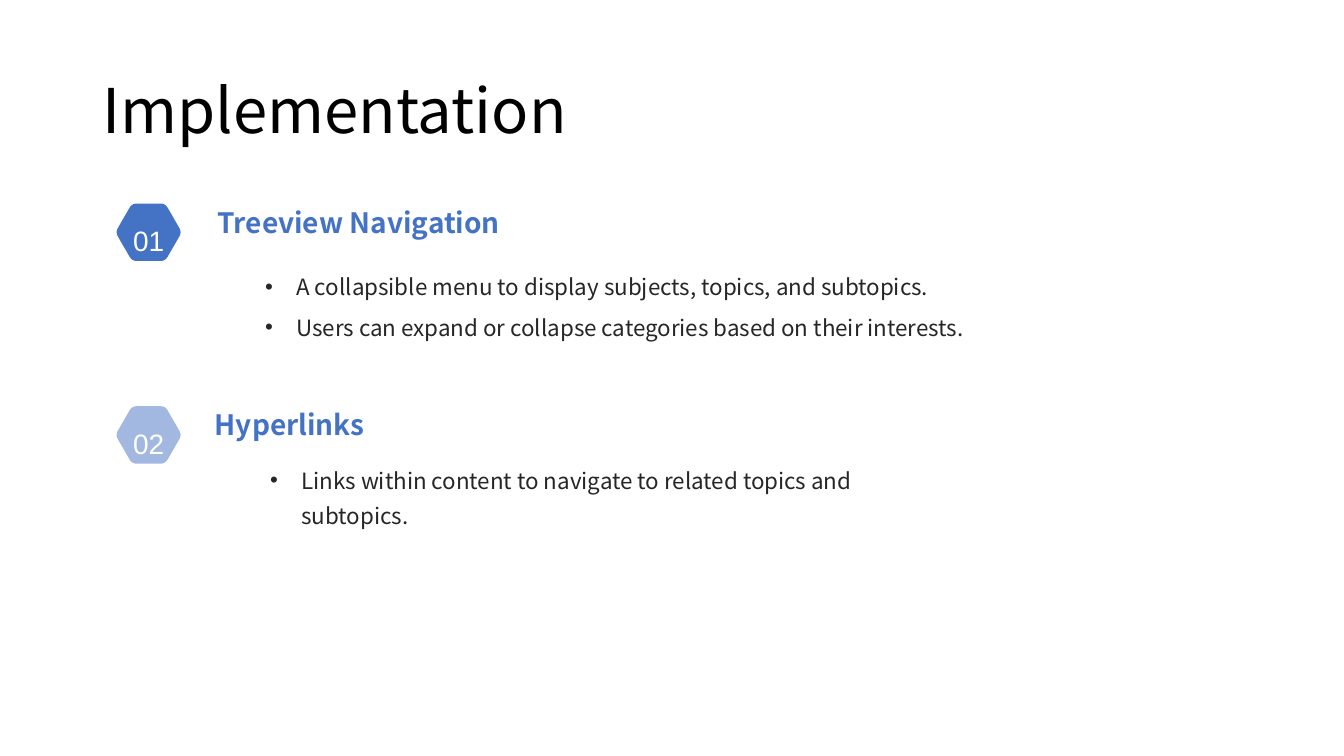
import math

from lxml import etree
from pptx import Presentation
from pptx.dml.color import RGBColor
from pptx.enum.text import MSO_ANCHOR, MSO_AUTO_SIZE, PP_ALIGN
from pptx.oxml.ns import qn
from pptx.util import Pt

BLACK = RGBColor(0x00, 0x00, 0x00)
WHITE = RGBColor(0xFF, 0xFF, 0xFF)
BLUE = RGBColor(0x44, 0x72, 0xC4)
PALE_BLUE = RGBColor(0xA2, 0xB8, 0xE1)
DARK_GREY = RGBColor(0x26, 0x26, 0x26)
LEFT, CENTER = PP_ALIGN.LEFT, PP_ALIGN.CENTER
TOP, MIDDLE, BOTTOM = MSO_ANCHOR.TOP, MSO_ANCHOR.MIDDLE, MSO_ANCHOR.BOTTOM
NO_AUTOFIT = MSO_AUTO_SIZE.NONE

SANS, NUMBER_FONT = "Noto Sans CJK SC", "Arial"
HEX_RADIUS, HEX_CUT, CURVE_STEPS = 23.7, 3.5, 6
BADGE_LEFT, BADGE_WIDTH, BADGE_HEIGHT = 83.5, 45.4, 41
HEADING_HEIGHT, HEADING_BOTTOM = 29.5, 25.2
BULLET_MARGIN, BULLET_INDENT = 58.3, -22.3

SECTIONS = [
    dict(number="01", color=BLUE, top=145.4, heading="Treeview Navigation",
         heading_box=(155.5, 249), body_box=(153.4, 185.8, 550, 87), spacing=Pt(28.8),
         points=["A collapsible menu to display subjects, topics, and subtopics.",
                 "Users can expand or collapse categories based on their interests."]),
    dict(number="02", color=PALE_BLUE, top=290.2, heading="Hyperlinks",
         heading_box=(153.4, 153.4), body_box=(157, 327.6, 522, 57), spacing=Pt(25),
         points=["Links within content to navigate to related topics and subtopics."]),
]


def write_text(frame, text, size, color, font=SANS, bold=False, align=LEFT,
               anchor=TOP, spacing=None, inset=0, wrap=True, bulleted=False):
    """Fill a text frame with one paragraph for each line of text."""
    frame.auto_size = NO_AUTOFIT
    frame.word_wrap = wrap
    frame.vertical_anchor = anchor
    frame.margin_left = frame.margin_right = Pt(inset)
    frame.margin_top = frame.margin_bottom = Pt(inset / 2)
    frame.text = text
    for paragraph in frame.paragraphs:
        paragraph.alignment = align
        paragraph.line_spacing = spacing
        if bulleted:
            add_bullet(paragraph)
        for run in paragraph.runs:
            run.font.name = font
            run.font.size = Pt(size)
            run.font.bold = bold
            run.font.color.rgb = color


def add_bullet(paragraph):
    paragraph.level = 1
    properties = paragraph._p.get_or_add_pPr()
    properties.set("marL", str(Pt(BULLET_MARGIN)))
    properties.set("indent", str(Pt(BULLET_INDENT)))
    etree.SubElement(properties, qn("a:buFont")).set("typeface", "Arial")
    etree.SubElement(properties, qn("a:buChar")).set("char", "•")


def add_text(slide, box, text, **text_format):
    frame = slide.shapes.add_textbox(*map(Pt, box)).text_frame
    write_text(frame, text, **text_format)


def rounded_hexagon(center_x, center_y):
    """Return outline points of a regular hexagon with softened corners."""
    corners = [(center_x + HEX_RADIUS * math.cos(math.radians(60 * i)),
                center_y + HEX_RADIUS * math.sin(math.radians(60 * i)))
               for i in range(6)]
    cut = HEX_CUT / HEX_RADIUS
    outline = []
    for i, corner in enumerate(corners):
        before, after = corners[i - 1], corners[(i + 1) % 6]
        for step in range(CURVE_STEPS + 1):
            t = step / CURVE_STEPS
            outline.append(tuple(
                c + cut * ((1 - t) ** 2 * (b - c) + t ** 2 * (a - c))
                for b, c, a in zip(before, corner, after)))
    return outline


def add_badge(slide, left, top, number, color):
    outline = [(x * 100, y * 100) for x, y in
               rounded_hexagon(left + BADGE_WIDTH / 2, top + BADGE_HEIGHT / 2)]
    builder = slide.shapes.build_freeform(*outline[0], scale=Pt(1) / 100)
    builder.add_line_segments(outline[1:], close=True)
    badge = builder.convert_to_shape()
    badge.shadow.inherit = False
    badge.fill.solid()
    badge.fill.fore_color.rgb = color
    badge.line.fill.background()
    write_text(badge.text_frame, number, size=20, color=WHITE, font=NUMBER_FONT,
               align=CENTER, anchor=MIDDLE, spacing=1.5, wrap=False)


def add_title(slide, box):
    title = slide.shapes.title
    title.left, title.top, title.width, title.height = map(Pt, box)
    write_text(title.text_frame, "Implementation", size=44, color=BLACK,
               anchor=MIDDLE, spacing=0.9, inset=7.2)


def add_section(slide, number, color, top, heading, heading_box, body_box, spacing, points):
    add_badge(slide, BADGE_LEFT, top, number, color)
    heading_left, heading_width = heading_box
    heading_top = top + HEADING_BOTTOM - HEADING_HEIGHT
    add_text(slide, (heading_left, heading_top, heading_width, HEADING_HEIGHT),
             heading, size=20, color=BLUE, bold=True, anchor=BOTTOM)
    add_text(slide, body_box, "\n".join(points), size=16, color=DARK_GREY,
             spacing=spacing, bulleted=True)


def main():
    presentation = Presentation()
    presentation.slide_width, presentation.slide_height = Pt(960), Pt(540)
    slide = presentation.slides.add_slide(presentation.slide_layouts[5])
    add_title(slide, (66, 28.8, 828, 104.4))
    for section in SECTIONS:
        add_section(slide, **section)
    presentation.save("out.pptx")


if __name__ == "__main__":
    main()
